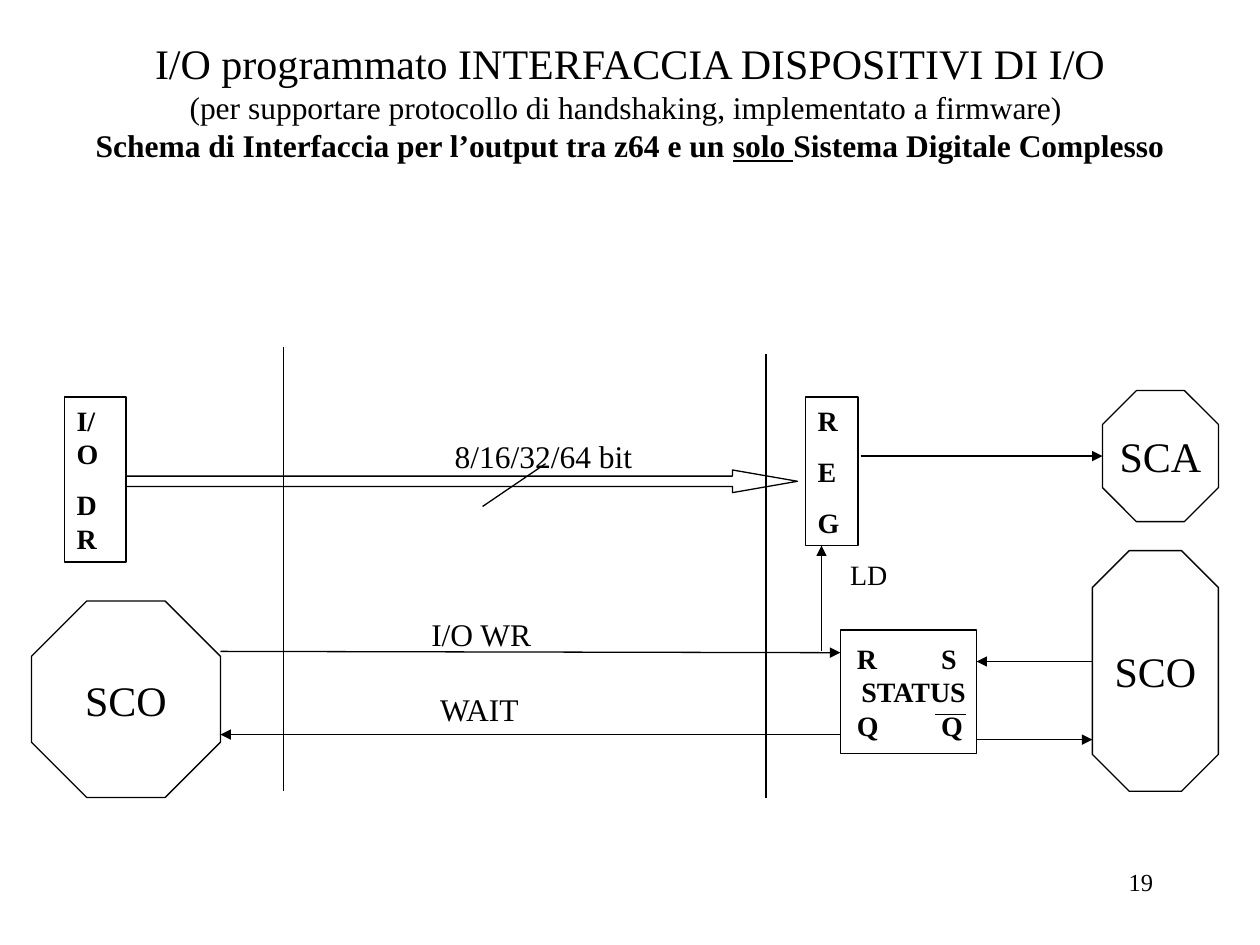
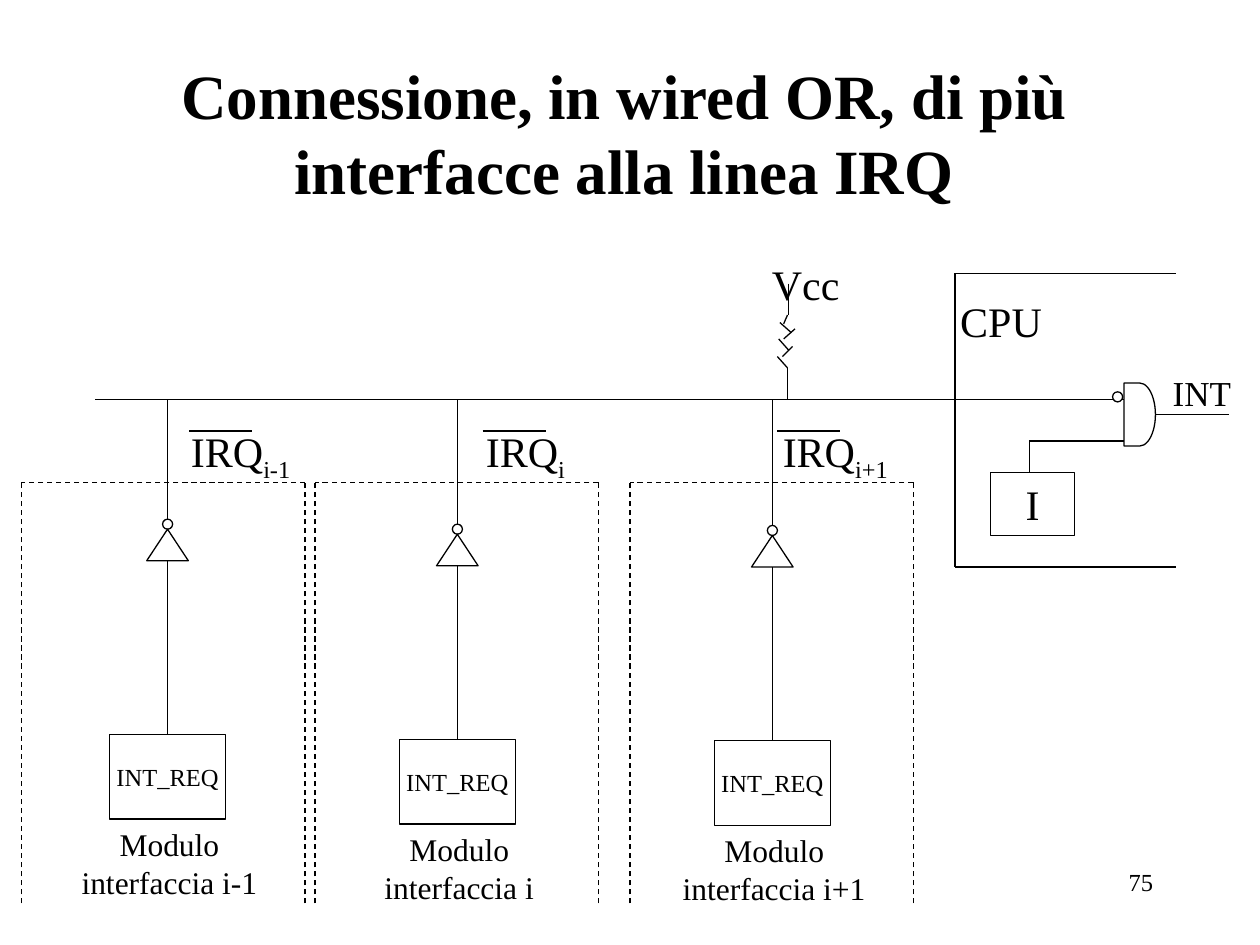
from lxml import etree
from pptx import Presentation
from pptx import util as u
from pptx.dml.color import RGBColor
from pptx.enum import dml, shapes, text
from pptx.oxml import ns

FONT = "Times New Roman"
INK, PAPER = "000000", "FFFFFF"
LEFT, CENTER, RIGHT = text.PP_ALIGN.LEFT, text.PP_ALIGN.CENTER, text.PP_ALIGN.RIGHT
TOP, MIDDLE = text.MSO_ANCHOR.TOP, text.MSO_ANCHOR.MIDDLE
SHAPE = shapes.MSO_SHAPE


# Shared helpers: the drawing grid counts in units of 2.54 cm
def grid(*units):
    return [u.Cm(2.54 * unit) for unit in units]


def color(hex_code):
    return RGBColor.from_string(hex_code)


def style(paragraph, size, bold=False, align=CENTER):
    paragraph.alignment = align
    font = paragraph.font
    font.name, font.size, font.bold = FONT, u.Pt(size), bold
    font.color.rgb = color(INK)


def write(frame, lines, size, bold=False, align=CENTER, anchor=TOP, gap=0, wrap=True):
    frame.word_wrap = wrap
    frame.auto_size = text.MSO_AUTO_SIZE.NONE
    frame.vertical_anchor = anchor
    for number, line in enumerate(lines):
        paragraph = frame.paragraphs[0] if number == 0 else frame.add_paragraph()
        paragraph.text = line
        if number and gap:
            paragraph.space_before = u.Pt(gap)
        style(paragraph, size, bold, align)
    return frame.paragraphs


def label(slide, box, lines, size, **options):
    frame = slide.shapes.add_textbox(*grid(*box)).text_frame
    return write(frame, lines, size, **options)


def outline(slide, kind, box, fill=None):
    part = slide.shapes.add_shape(kind, *grid(*box))
    part.shadow.inherit = False
    if fill:
        part.fill.solid()
        part.fill.fore_color.rgb = color(fill)
    else:
        part.fill.background()
    part.line.color.rgb = color(INK)
    part.line.width = u.Pt(0.75)
    return part


def block(slide, kind, box, lines, size, **options):
    part = outline(slide, kind, box)
    write(part.text_frame, lines, size, **options)
    return part


def wire(slide, x1, y1, x2, y2, arrow=False, dashed=False):
    line = slide.shapes.add_connector(shapes.MSO_CONNECTOR.STRAIGHT, *grid(x1, y1, x2, y2))
    line.line.color.rgb = color(INK)
    line.line.width = u.Pt(0.75)
    if dashed:
        line.line.dash_style = dml.MSO_LINE.DASH
    properties = line._element.spPr
    if arrow:
        end = etree.SubElement(properties.find(ns.qn("a:ln")), ns.qn("a:tailEnd"))
        end.set("type", "triangle")
    etree.SubElement(properties, ns.qn("a:effectLst"))


def new_slide(prs, title_box, number):
    slide = prs.slides.add_slide(prs.slide_layouts[5])
    title = slide.shapes.title
    title.left, title.top, title.width, title.height = grid(*title_box)
    label(slide, (7.17, 6.83, 2.08, 0.5), [number], 14, align=RIGHT)
    return slide, title.text_frame


# Slide 1: output interface
def output_title(frame):
    heading, protocol, scheme = write(frame, [
        "I/O programmato INTERFACCIA DISPOSITIVI DI I/O",
        "(per supportare protocollo di handshaking, implementato a firmware) ",
        "",
    ], 24)
    style(protocol, 18)
    for words in ("Schema di Interfaccia per l’output tra z64 e un ", "solo ",
                  "Sistema Digitale Complesso"):
        run = scheme.add_run()
        run.text = words
        run.font.underline = words == "solo "
    style(scheme, 18, bold=True)


def processor_side(slide, x, y):
    block(slide, SHAPE.RECTANGLE, (x + 0.26, y, 0.49, 1.31), ["I/O", "DR"], 16,
          bold=True, align=LEFT, gap=10)
    block(slide, SHAPE.OCTAGON, (x, y + 1.62, 1.5, 1.56), ["SCO"], 24,
          anchor=MIDDLE, wrap=False)


def bus(slide, x, y):
    # Bus boundaries
    wire(slide, x, y, x, y + 3.53)
    wire(slide, x + 3.83, y + 0.06, x + 3.83, y + 3.58)
    # Data path with its width mark
    data = outline(slide, SHAPE.RIGHT_ARROW, (x - 1.25, y + 0.98, 5.33, 0.18))
    data.adjustments[0], data.adjustments[1] = 0.453, 2.87
    wire(slide, x + 2.08, y + 0.93, x + 1.58, y + 1.27)
    label(slide, (x + 1.26, y + 0.67, 1.61, 0.4), ["8/16/32/64 bit"], 18,
          align=LEFT, wrap=False)
    # Handshake lines
    wire(slide, x - 0.5, y + 2.42, x + 4.42, y + 2.43, arrow=True)
    wire(slide, x + 4.42, y + 3.08, x - 0.5, y + 3.08, arrow=True)
    label(slide, (x + 1.07, y + 2.08, 1, 0.4), ["I/O WR"], 18, wrap=False)
    label(slide, (x + 1.13, y + 2.68, 0.85, 0.4), ["WAIT"], 18, wrap=False)


def status_flip_flop(slide, x, y):
    status = outline(slide, SHAPE.RECTANGLE, (x, y, 1.08, 0.98))
    frame = status.text_frame
    frame.margin_left, frame.margin_right = grid(0.13, 0.05)
    pins = ["R\tS", "STATUS", "Q\tQ"]
    for paragraph in [frame.paragraphs[0], frame.add_paragraph(), frame.add_paragraph()]:
        paragraph.text = pins.pop(0)
        is_name = paragraph.text == "STATUS"
        if not is_name:
            tabs = etree.SubElement(paragraph._p.get_or_add_pPr(), ns.qn("a:tabLst"))
            stop = etree.SubElement(tabs, ns.qn("a:tab"))
            stop.set("pos", str(grid(0.67)[0]))
            stop.set("algn", "l")
        style(paragraph, 16, bold=True, align=CENTER if is_name else LEFT)
    frame.word_wrap = True
    frame.vertical_anchor = MIDDLE
    wire(slide, x + 0.75, y + 0.67, x + 1, y + 0.67)


def device_side(slide, x, y):
    block(slide, SHAPE.RECTANGLE, (x, y, 0.42, 1.18), list("REG"), 16,
          bold=True, align=LEFT, gap=10)
    status_flip_flop(slide, x + 0.28, y + 1.85)
    block(slide, SHAPE.OCTAGON, (x + 2.36, y - 0.05, 0.92, 1.04), ["SCA"], 24,
          anchor=MIDDLE, wrap=False)
    block(slide, SHAPE.OCTAGON, (x + 2.28, y + 1.22, 1, 1.91), ["SCO"], 24,
          anchor=MIDDLE, wrap=False)
    for x1, y1, x2, y2 in ((0.13, 2.02, 0.13, 1.18), (0.44, 0.47, 2.36, 0.47),
                           (2.28, 2.1, 1.36, 2.1), (1.36, 2.72, 2.28, 2.72)):
        wire(slide, x + x1, y + y1, x + x2, y + y2, arrow=True)
    label(slide, (x + 0.26, y + 1.23, 0.49, 0.37), ["LD"], 16, wrap=False)


def output_slide(prs):
    slide, title = new_slide(prs, (0, 0.25, 10, 1.4), "19")
    output_title(title)
    bus(slide, 2.25, 2.75)
    processor_side(slide, 0.25, 3.15)
    device_side(slide, 6.39, 3.15)


# Slide 2: wired OR on the IRQ line
def interface_module(slide, x, y, line_x, gate_y, bar_x, irq_x, index):
    # Dashed module border, open at the bottom
    right, bottom = x + 2.25, y + 3.34
    for ends in ((x, bottom, x, y), (right, bottom, right, y), (right, y, x, y)):
        wire(slide, *ends, dashed=True)
    # Request line through the inverter
    wire(slide, line_x, y - 0.66, line_x, gate_y)
    outline(slide, SHAPE.OVAL, (line_x - 0.04, gate_y, 0.08, 0.08), PAPER)
    outline(slide, SHAPE.ISOSCELES_TRIANGLE, (line_x - 0.165, gate_y + 0.08, 0.33, 0.25))
    wire(slide, line_x, gate_y + 0.33, line_x, gate_y + 1.71)
    block(slide, SHAPE.RECTANGLE, (line_x - 0.46, gate_y + 1.71, 0.92, 0.67), ["INT_REQ"], 14,
          anchor=MIDDLE, wrap=False)
    label(slide, (line_x - 1.02, gate_y + 2.38, 2.07, 0.7),
          ["Modulo", f"interfaccia {index}"], 18)
    # Negated signal name
    signal = label(slide, (irq_x, y - 0.5, 1, 0.56), ["IRQ"], 24, wrap=False)[0]
    subscript = signal.add_run()
    subscript.text = index
    subscript._r.get_or_add_rPr().set("baseline", "-25000")
    wire(slide, bar_x, y - 0.41, bar_x + 0.5, y - 0.41)


def pull_up(slide, x, y):
    label(slide, (x - 0.22, y - 0.25, 0.73, 0.5), ["Vcc"], 24, wrap=False)
    for x1, y1, x2, y2 in (
            (0.01, 0, 0.01, 0.25), (0, 0.67, 0, 0.92), (0, 0.67, -0.08, 0.58),
            (0.01, 0.53, -0.07, 0.44), (0.03, 0.39, -0.06, 0.31), (-0.03, 0.32, 0, 0.25),
            (-0.03, 0.44, 0.06, 0.36), (-0.04, 0.58, 0.04, 0.5)):
        wire(slide, x + x1, y + y1, x + x2, y + y2)


def cpu(slide, x, y):
    for ends in ((x + 1.75, y, x, y), (x + 1.75, y + 2.33, x, y + 2.33), (x, y, x, y + 2.33)):
        wire(slide, *ends)
    label(slide, (x - 0.06, y + 0.13, 0.85, 0.5), ["CPU"], 24, wrap=False)
    # Interrupt enable flag and AND gate
    block(slide, SHAPE.RECTANGLE, (x + 0.28, y + 1.58, 0.67, 0.5), ["I"], 24)
    wire(slide, x + 1.34, y + 1.33, x + 0.59, y + 1.33)
    wire(slide, x + 0.59, y + 1.33, x + 0.59, y + 1.58)
    outline(slide, SHAPE.OVAL, (x + 1.25, y + 0.94, 0.08, 0.08), PAPER)
    outline(slide, SHAPE.FLOWCHART_DELAY, (x + 1.34, y + 0.87, 0.25, 0.5))
    wire(slide, x + 1.59, y + 1.12, x + 2.17, y + 1.12)
    label(slide, (x + 1.63, y + 0.73, 0.66, 0.44), ["INT"], 20, wrap=False)


def irq_slide(prs):
    slide, title = new_slide(prs, (0.33, 0.42, 9.25, 1.25), "75")
    write(title, ["Connessione, in wired OR, di più interfacce alla linea IRQ"], 36,
          bold=True, anchor=MIDDLE)
    wire(slide, 8.92, 3.17, 0.75, 3.17)
    cpu(slide, 7.58, 2.17)
    pull_up(slide, 6.25, 2.25)
    for x, line_x, gate_y, bar_x, irq_x, index in (
            (0.17, 1.33, 4.12, 1.5, 1.41, "i-1"),
            (2.5, 3.63, 4.16, 3.83, 3.67, "i"),
            (5, 6.13, 4.17, 6.17, 6.13, "i+1")):
        interface_module(slide, x, 3.83, line_x, gate_y, bar_x, irq_x, index)


def main():
    prs = Presentation()
    prs.slide_width, prs.slide_height = u.Cm(25.4), u.Cm(19.05)
    output_slide(prs)
    irq_slide(prs)
    prs.save("out.pptx")


if __name__ == "__main__":
    main()
